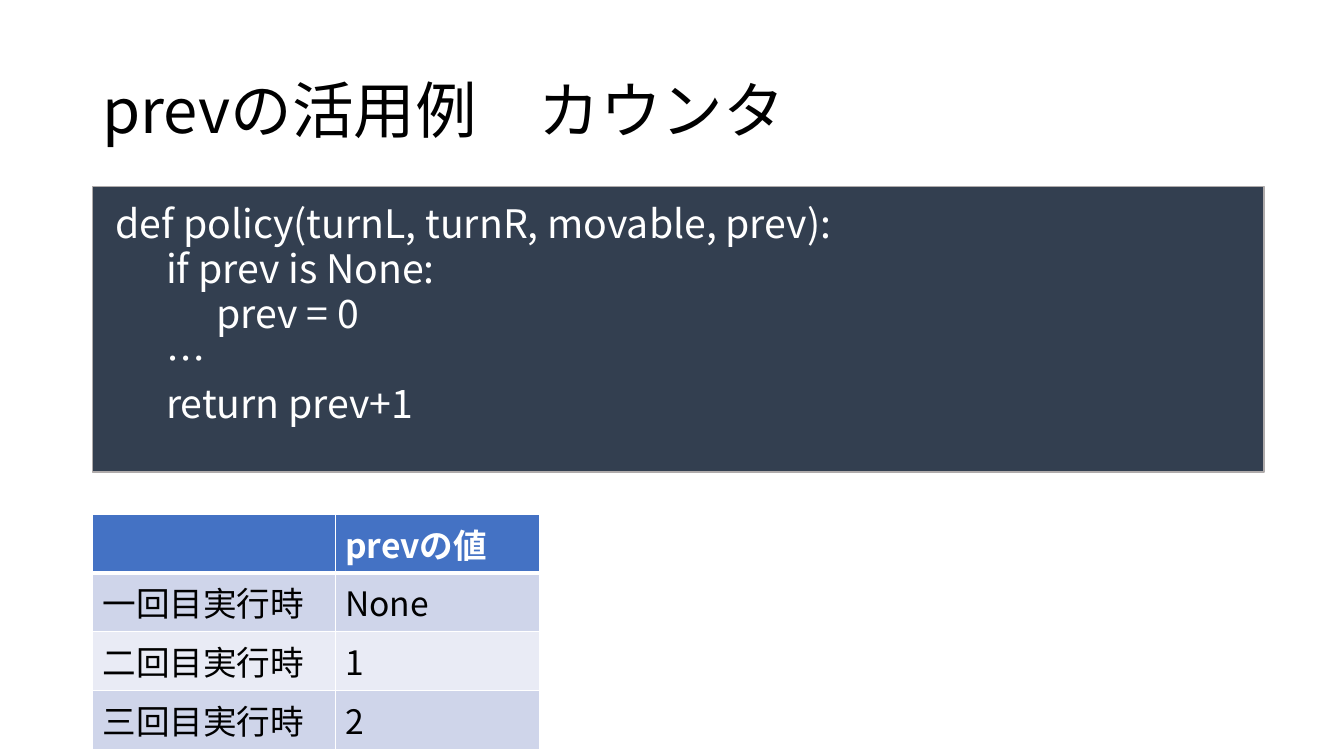
from dataclasses import dataclass
from typing import Any

from lxml.etree import SubElement
from pptx import Presentation
from pptx.dml.color import RGBColor
from pptx.enum.shapes import MSO_SHAPE
from pptx.enum.text import MSO_ANCHOR, MSO_AUTO_SIZE
from pptx.oxml.ns import qn
from pptx.util import Emu, Inches, Pt

FONT = "Noto Sans CJK JP"
COLORS = {
    "text": "000000",
    "light": "FFFFFF",
    "panel": "333F50",
    "panel_line": "AFABAB",
    "header": "4472C4",
    "odd_row": "CFD5EA",
    "even_row": "E9EBF5",
}
GRID_COLUMNS, GRID_ROWS = 160, 90
SLIDE_WIDTH, SLIDE_HEIGHT = Inches(13.33), Inches(7.5)


@dataclass(frozen=True)
class Area:
    column: float
    row: float
    columns: float
    rows: float

    def box(self) -> tuple[Emu, Emu, Emu, Emu]:
        return across(self.column), down(self.row), across(self.columns), down(self.rows)


@dataclass(frozen=True)
class TextStyle:
    size: float
    color: str
    bold: bool = False
    line_spacing: float = 1.0
    space_before: float = 0


@dataclass(frozen=True)
class TextBlock:
    area: Area
    lines: tuple[str, ...]
    style: TextStyle
    anchor: MSO_ANCHOR


@dataclass(frozen=True)
class TableRow:
    cells: tuple[str, str]
    fill: str
    style: TextStyle
    bottom_border: float = 1


def across(columns: float) -> Emu:
    return Emu(round(SLIDE_WIDTH * columns / GRID_COLUMNS))


def down(rows: float) -> Emu:
    return Emu(round(SLIDE_HEIGHT * rows / GRID_ROWS))


def color(name: str) -> RGBColor:
    return RGBColor.from_string(COLORS[name])


def format_text(text_frame: Any, style: TextStyle) -> None:
    for paragraph in text_frame.paragraphs:
        paragraph.line_spacing = style.line_spacing
        paragraph.space_before = Pt(style.space_before)
        paragraph.font.size = Pt(style.size)
        for run in paragraph.runs:
            run.font.size = Pt(style.size)
            run.font.bold = style.bold
            run.font.name = FONT
            run.font.color.rgb = color(style.color)
            SubElement(run.font._element, qn("a:ea"), typeface=FONT)


def draw_text(slide: Any, block: TextBlock) -> None:
    text_frame = slide.shapes.add_textbox(*block.area.box()).text_frame
    text_frame.word_wrap = True
    text_frame.auto_size = MSO_AUTO_SIZE.NONE
    text_frame.vertical_anchor = block.anchor
    text_frame.text = "\n".join(block.lines)
    format_text(text_frame, block.style)


def draw_panel(slide: Any, area: Area) -> None:
    shape = slide.shapes.add_shape(MSO_SHAPE.RECTANGLE, *area.box())
    shape.shadow.inherit = False
    shape.fill.solid()
    shape.fill.fore_color.rgb = color("panel")
    shape.line.color.rgb = color("panel_line")
    shape.line.width = Pt(1)


def draw_borders(cell: Any, top: float, bottom: float) -> None:
    properties = cell._tc.get_or_add_tcPr()
    widths = {"a:lnL": 1, "a:lnR": 1, "a:lnT": top, "a:lnB": bottom}
    for position, (tag, width) in enumerate(widths.items()):
        line = properties.makeelement(qn(tag), {"w": str(Pt(width))})
        fill = SubElement(line, qn("a:solidFill"))
        SubElement(fill, qn("a:srgbClr"), val=COLORS["light"])
        properties.insert(position, line)


def draw_table(slide: Any, area: Area, widths: tuple[float, ...], rows: tuple[TableRow, ...]) -> None:
    table = slide.shapes.add_table(len(rows), len(widths), *area.box()).table
    for column, width in zip(table.columns, widths):
        column.width = across(width)
    top_border = 1.0
    for row_index, row in enumerate(rows):
        for column_index, text in enumerate(row.cells):
            cell = table.cell(row_index, column_index)
            cell.fill.solid()
            cell.fill.fore_color.rgb = color(row.fill)
            draw_borders(cell, top_border, row.bottom_border)
            cell.text_frame.text = text
            format_text(cell.text_frame, row.style)
        top_border = row.bottom_border


TITLE = TextBlock(
    Area(11, 4.8, 138, 17.4),
    ("prevの活用例　カウンタ",),
    TextStyle(44, "text", line_spacing=0.9),
    MSO_ANCHOR.MIDDLE,
)
CODE_PANEL = Area(11, 22.2, 139.5, 34)
CODE = TextBlock(
    Area(12.6, 24.6, 134.8, 32.9),
    (
        "def policy(turnL, turnR, movable, prev):",
        "\tif prev is None:",
        "\t\tprev = 0",
        "\t…",
        "\treturn prev+1",
    ),
    TextStyle(28, "light", line_spacing=0.72, space_before=8),
    MSO_ANCHOR.TOP,
)
BODY = TextStyle(24, "text")
COLUMN_WIDTHS = (28.9, 24.3)
VALUE_ROWS = (
    TableRow(("", "prevの値"), "header", TextStyle(24, "light", bold=True), bottom_border=3),
    TableRow(("一回目実行時", "None"), "odd_row", BODY),
    TableRow(("二回目実行時", "1"), "even_row", BODY),
    TableRow(("三回目実行時", "2"), "odd_row", BODY),
)
VALUE_TABLE = Area(11, 61.2, sum(COLUMN_WIDTHS), 7 * len(VALUE_ROWS))


def main() -> None:
    presentation = Presentation()
    presentation.slide_width = SLIDE_WIDTH
    presentation.slide_height = SLIDE_HEIGHT
    slide = presentation.slides.add_slide(presentation.slide_layouts[6])
    draw_text(slide, TITLE)
    draw_panel(slide, CODE_PANEL)
    draw_text(slide, CODE)
    draw_table(slide, VALUE_TABLE, COLUMN_WIDTHS, VALUE_ROWS)
    presentation.save("out.pptx")


if __name__ == "__main__":
    main()
